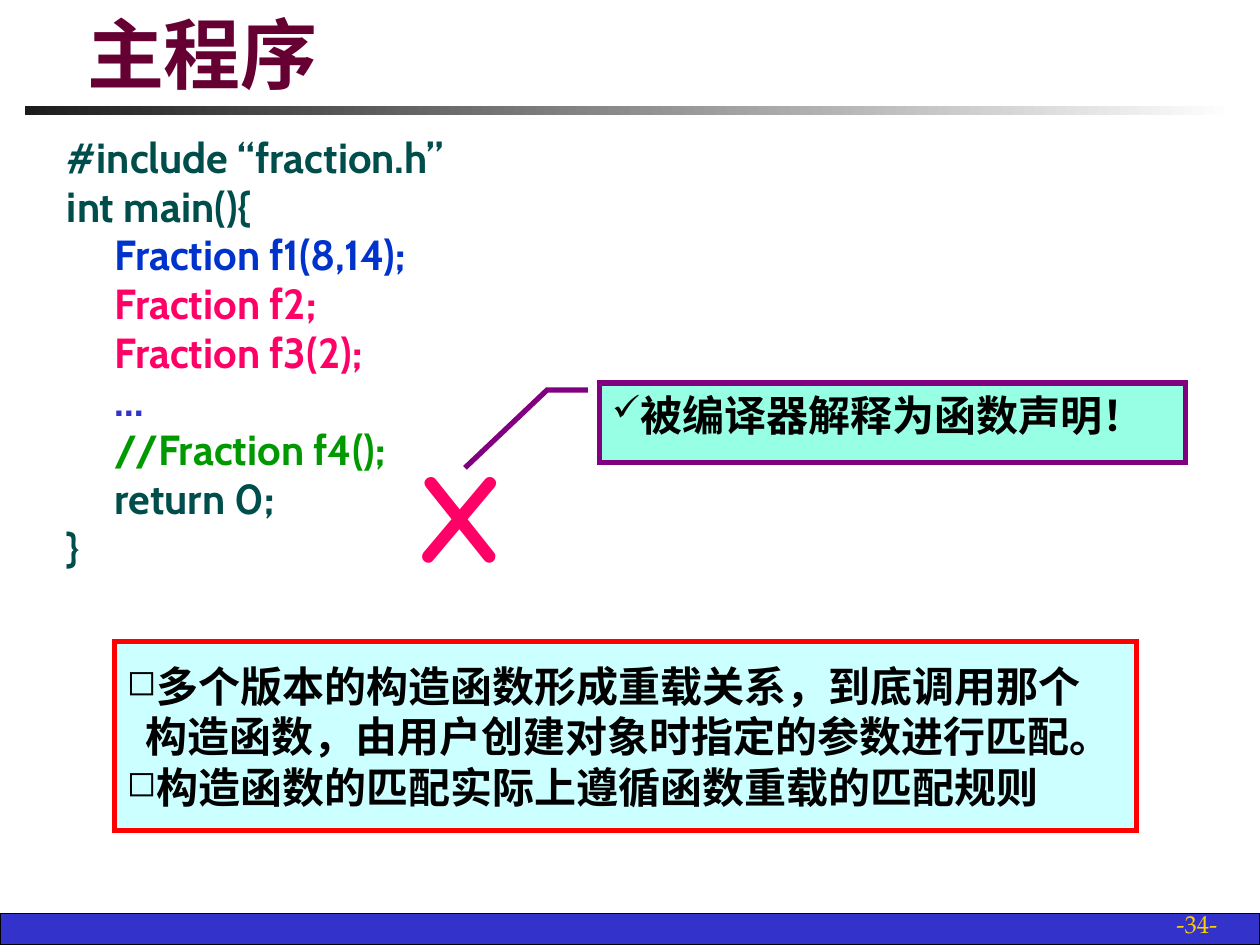
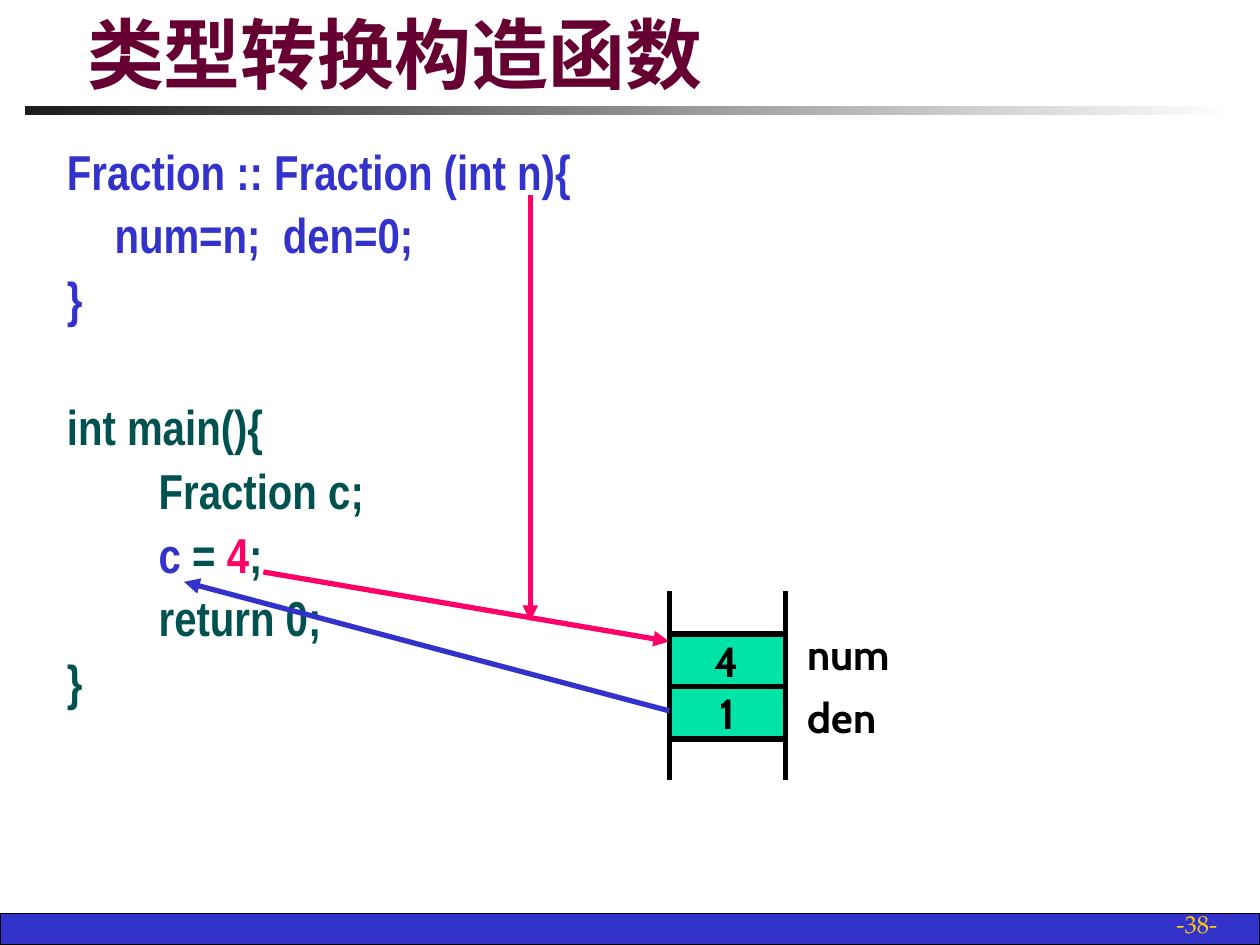
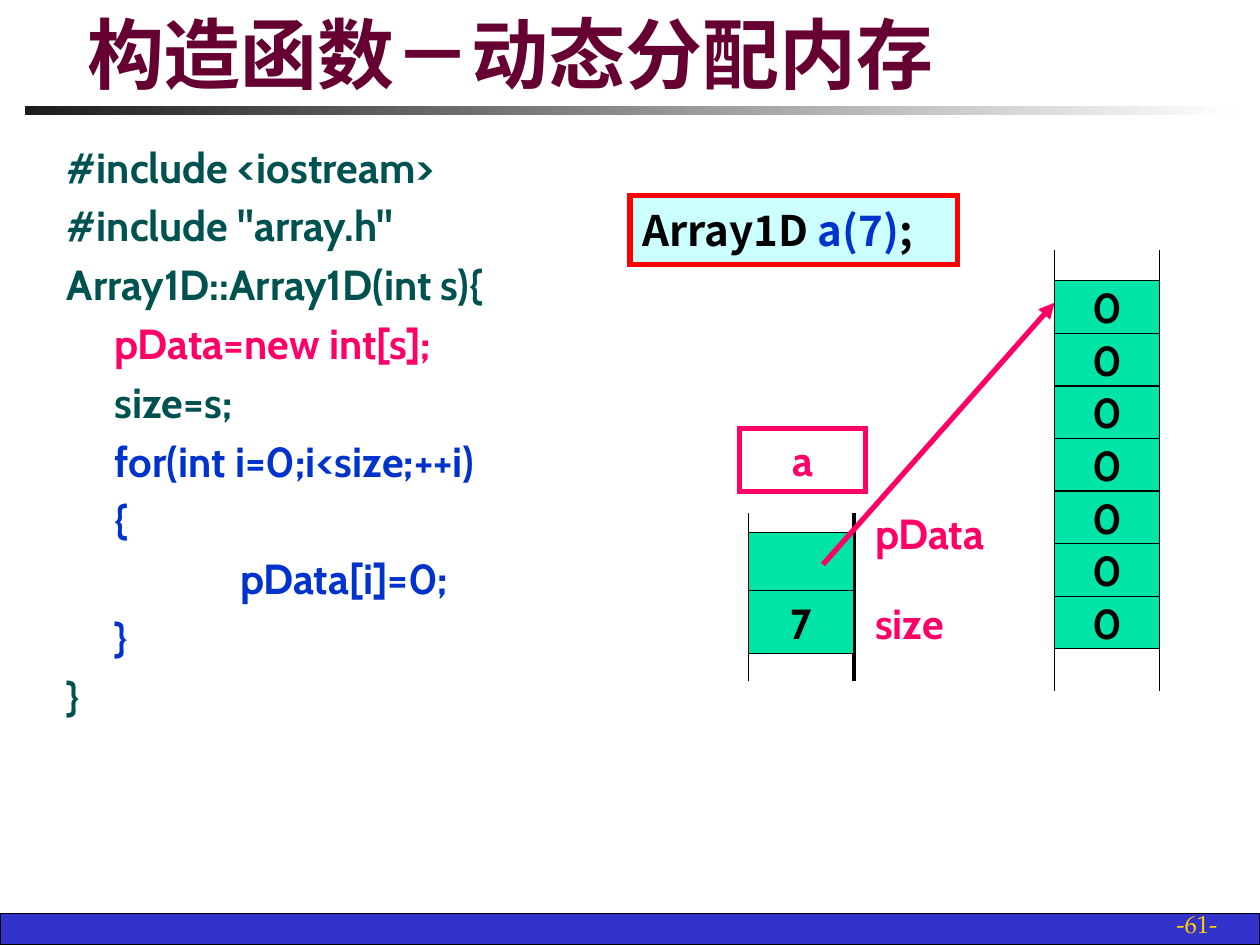
from lxml.etree import SubElement
from pptx import Presentation
from pptx.dml.color import RGBColor
from pptx.enum.shapes import MSO_CONNECTOR as Link, MSO_SHAPE as Preset
from pptx.enum.text import MSO_ANCHOR as Anchor, PP_ALIGN as Align
from pptx.oxml.ns import qn
from pptx.util import Cm, Pt

COLORS = {
    "title": "660033", "footer": "3333CC", "number": "FFCF01",
    "rule_start": "1C1C1C", "white": "FFFFFF", "black": "000000",
    "green": "004E4C", "teal": "005250", "violet": "3333CC", "blue": "0033CC",
    "pink": "FF0066", "comment": "009900", "red": "FF0000",
    "note": "CCFFFF", "callout": "97FFE4", "purple": "800080",
    "cell": "00E4A8",
}
CODE_FONT, TITLE_FONT = "Cabin", "Comic Neue"
NARROW_FONT, NUMBER_FONT = "Arial Narrow", "TeX Gyre Pagella"
CHINESE_FONT = "Noto Sans CJK SC"
STEP = 0.96  # one level of code indentation, in cm


def rgb(name):
    """Look up a colour by its role."""
    return RGBColor.from_string(COLORS[name])


def style(para, font=CODE_FONT, size=24, color="black", bold=True):
    """Set the font of a whole paragraph, Chinese characters included."""
    para.font.name, para.font.size, para.font.bold = font, Pt(size), bold
    para.font.color.rgb = rgb(color)
    defaults = para._p.get_or_add_pPr().find(qn("a:defRPr"))
    SubElement(defaults, qn("a:ea")).set("typeface", CHINESE_FONT)


def indent(para, distance):
    """Move the left edge of a paragraph by a distance in cm."""
    properties = para._p.get_or_add_pPr()
    properties.set("marL", str(Cm(distance)))
    properties.set("indent", "0")


def bullet(para, mark):
    """Give a styled paragraph a bullet character a little below text size."""
    indent(para, 0)
    properties = para._p.get_or_add_pPr()
    defaults = properties.find(qn("a:defRPr"))
    for tag, key, value in (("a:buSzPct", "val", "85000"),
                            ("a:buChar", "char", mark)):
        part = SubElement(properties, qn(tag))
        part.set(key, value)
        defaults.addprevious(part)


def add_spans(para, spans):
    """Add (text, colour) spans; a colour of None keeps the paragraph's."""
    for text, color in spans:
        span = para.add_run()
        span.text = text
        if color:
            span.font.color.rgb = rgb(color)


def add_text(page, place, text, align=Align.LEFT, anchor=Anchor.TOP,
             wrap=False, inset=None, **font):
    """Add a one-paragraph text box."""
    box = page.shapes.add_textbox(*map(Cm, place))
    frame = box.text_frame
    frame.word_wrap, frame.vertical_anchor = wrap, anchor
    if inset is not None:
        frame.margin_left = frame.margin_right = Cm(inset)
        frame.margin_top = frame.margin_bottom = Cm(inset)
    para = frame.paragraphs[0]
    para.text, para.alignment = text, align
    style(para, **font)


def add_box(page, place, fill=None, line=None, weight=0.75,
            preset=Preset.RECTANGLE, anchor=Anchor.MIDDLE):
    """Add a preset shape with an optional fill and sharp-cornered outline."""
    shape = page.shapes.add_shape(preset, *map(Cm, place))
    shape.shadow.inherit = False
    if fill:
        shape.fill.solid()
        shape.fill.fore_color.rgb = rgb(fill)
    else:
        shape.fill.background()
    if line:
        shape.line.color.rgb, shape.line.width = rgb(line), Pt(weight)
        outline = shape.line._get_or_add_ln()
        SubElement(outline, qn("a:miter")).set("lim", "800000")
    else:
        shape.line.fill.background()
    shape.text_frame.word_wrap = True
    shape.text_frame.vertical_anchor = anchor
    return shape


def write(shape, lines, align=Align.LEFT, **font):
    """Fill a shape with paragraphs given as (bullet, indent, spans)."""
    frame = shape.text_frame
    for number, (mark, distance, spans) in enumerate(lines):
        para = frame.add_paragraph() if number else frame.paragraphs[0]
        para.alignment = align
        style(para, **font)
        add_spans(para, spans)
        if mark:
            bullet(para, mark)
        elif distance:
            indent(para, distance)


def add_line(page, start, end, color="black", weight=3.0, arrow=False):
    """Draw a straight line, with an arrowhead at its end if wanted."""
    line = page.shapes.add_connector(Link.STRAIGHT, *map(Cm, start + end))
    line.line.color.rgb, line.line.width = rgb(color), Pt(weight)
    if arrow:
        outline = line.line._get_or_add_ln()
        SubElement(outline, qn("a:tailEnd")).set("type", "triangle")
    SubElement(line._element.spPr, qn("a:effectLst"))


def add_code(page, lines, font=CODE_FONT, size=24, before=4.8, spacing=1.0):
    """Add a listing of (indent, colour, text or spans, extra gap) lines."""
    box = page.shapes.add_textbox(Cm(1.1), Cm(2.72), Cm(23.22), Cm(14.4))
    frame = box.text_frame
    frame.word_wrap = True
    for number, (distance, color, content, *gap) in enumerate(lines):
        para = frame.add_paragraph() if number else frame.paragraphs[0]
        style(para, font, size, color)
        para.line_spacing = spacing
        para.space_before = Pt(before + sum(gap))
        indent(para, distance)
        spans = [(content, None)] if isinstance(content, str) else content
        add_spans(para, spans)


def add_memory(page, left, top, width, pitch, height, values, rails,
               weight=0.75, right_weight=None):
    """Draw stacked memory cells between two vertical rails."""
    for x, thickness in ((left, weight), (left + width, right_weight or weight)):
        add_line(page, (x, rails[0]), (x, rails[1]), weight=thickness)
    for row, value in enumerate(values):
        cell = add_box(page, (left, top + row * pitch, width, height),
                       "cell", "black", weight)
        if value:
            write(cell, [(None, 0, [(value, None)])], Align.CENTER)


def add_page(deck, title, number):
    """Start a slide with its title, rule, footer band and page number."""
    page = deck.slides.add_slide(deck.slide_layouts[5])
    add_box(page, (0, 18.42, 25.4, 0.63), "footer", "black")
    rule = add_box(page, (0.51, 2.13, 24.4, 0.2))
    rule.fill.gradient()
    rule.fill.gradient_angle = 0
    for stop, color in zip(rule.fill.gradient_stops, ("rule_start", "white")):
        stop.color.rgb = rgb(color)
    add_text(page, (19.51, 18.21, 5.28, 0.84), f"-{number}-", Align.RIGHT,
             Anchor.BOTTOM, wrap=True, font=NUMBER_FONT, size=14,
             color="number", bold=False)
    heading = page.shapes.title
    heading.left, heading.top = Cm(1.5), Cm(0.33)
    heading.width, heading.height = Cm(22.15), Cm(1.8)
    heading.text_frame.vertical_anchor = Anchor.BOTTOM
    para = heading.text_frame.paragraphs[0]
    para.text, para.alignment = title, Align.LEFT
    style(para, TITLE_FONT, 44, "title")
    return page


def build_main_program(deck):
    """Slide on the main program and constructor matching."""
    page = add_page(deck, "主程序", 34)
    add_code(page, [
        (0, "green", "#include “fraction.h”"),
        (0, "green", "int main(){"),
        (STEP, "blue", "Fraction f1(8,14);"),
        (STEP, "pink", "Fraction f2;"),
        (STEP, "pink", "Fraction f3(2);"),
        (STEP, "violet", "…"),
        (STEP, "comment", "//Fraction f4();"),
        (STEP, "green", "return 0;"),
        (0, "green", "}"),
    ], spacing=0.8)
    note = add_box(page, (2.31, 12.93, 20.6, 3.81), "note", "red", 3)
    write(note, [
        ("◻", 0, [("多个版本的构造函数形成重载关系，到底调用那个", None)]),
        (None, 0.38, [("构造函数，由用户创建对象时指定的参数进行匹配。", None)]),
        ("◻", 0, [("构造函数的匹配实际上遵循函数重载的匹配规则", None)]),
    ], font=CHINESE_FONT)
    callout = add_box(page, (12.09, 7.72, 11.81, 1.6), "callout", "purple", 3,
                      Preset.LINE_CALLOUT_2, Anchor.TOP)
    for index, value in enumerate((0.09, -0.02, 0.09, -0.09, 1.07, -0.23)):
        callout.adjustments[index] = value
    write(callout, [("✓", 0, [("被编译器解释为函数声明！", None)])])
    add_text(page, (7.49, 9.32, 3.61, 2.01), "X", Align.CENTER, Anchor.MIDDLE,
             inset=0, font=TITLE_FONT, size=72, color="pink")


def build_conversion(deck):
    """Slide on the type-converting constructor."""
    page = add_page(deck, "类型转换构造函数", 38)
    body = 1.85
    add_code(page, [
        (0, "violet", "Fraction :: Fraction (int n){"),
        (STEP, "violet", "num=n;  den=0;"),
        (0, "violet", "}"),
        (0, "teal", "int main(){", 36.7),
        (body, "teal", "Fraction c;"),
        (body, "teal", [("c ", "violet"), ("= ", None), ("4", "pink"),
                        (";", None)]),
        (body, "teal", "return 0;"),
        (0, "teal", "}"),
    ], NARROW_FONT, 28, before=2.8)
    add_line(page, (5.31, 11.53), (13.49, 12.93), "pink", arrow=True)
    add_memory(page, 13.49, 12.78, 2.34, 1.06, 1.06, "41", (11.91, 15.72), 3)
    add_text(page, (16.03, 12.55, 2.41, 1.3), "num")
    add_text(page, (16.03, 13.82, 2.11, 1.3), "den")
    add_line(page, (10.69, 3.94), (10.69, 12.52), "pink", arrow=True)
    add_line(page, (13.49, 14.33), (3.71, 11.73), "violet", arrow=True)


def build_allocation(deck):
    """Slide on a constructor that allocates memory."""
    page = add_page(deck, "构造函数－动态分配内存", 61)
    add_code(page, [
        (0, "teal", "#include <iostream>"),
        (0, "teal", '#include "array.h"'),
        (0, "teal", "Array1D::Array1D(int s){"),
        (STEP, "pink", "pData=new int[s];"),
        (STEP, "teal", "size=s;"),
        (STEP, "blue", "for(int i=0;i<size;++i)"),
        (STEP, "blue", "{"),
        (3.49, "blue", "pData[i]=0;"),
        (STEP, "blue", "}"),
        (0, "teal", "}"),
    ])
    add_memory(page, 21.26, 5.66, 2.11, 1.06, 1.06, "0" * 7, (5.03, 13.92))
    name = add_box(page, (14.91, 8.64, 2.54, 1.27), line="pink", weight=3)
    write(name, [(None, 0, [("a", None)])], Align.CENTER, color="pink")
    add_memory(page, 15.09, 10.74, 2.13, 1.17, 1.27, ("", "7"),
               (10.34, 13.72), right_weight=2.25)
    for top, member in ((10.11, "pData"), (11.91, "size")):
        add_text(page, (17.39, top, 3.2, 1.27), member, anchor=Anchor.MIDDLE,
                 wrap=True, color="pink")
    usage = add_box(page, (12.7, 3.94, 6.6, 1.4), "note", "red", 3)
    write(usage, [(None, 0, [("Array1D ", None), ("a(7)", "blue"),
                             (";", None)])], font=CHINESE_FONT)
    add_line(page, (16.59, 11.38), (21.26, 6.1), "pink", arrow=True)


def main():
    """Build the deck and save it."""
    deck = Presentation()
    deck.slide_width, deck.slide_height = Cm(25.4), Cm(19.05)
    build_main_program(deck)
    build_conversion(deck)
    build_allocation(deck)
    deck.save("out.pptx")


main()
